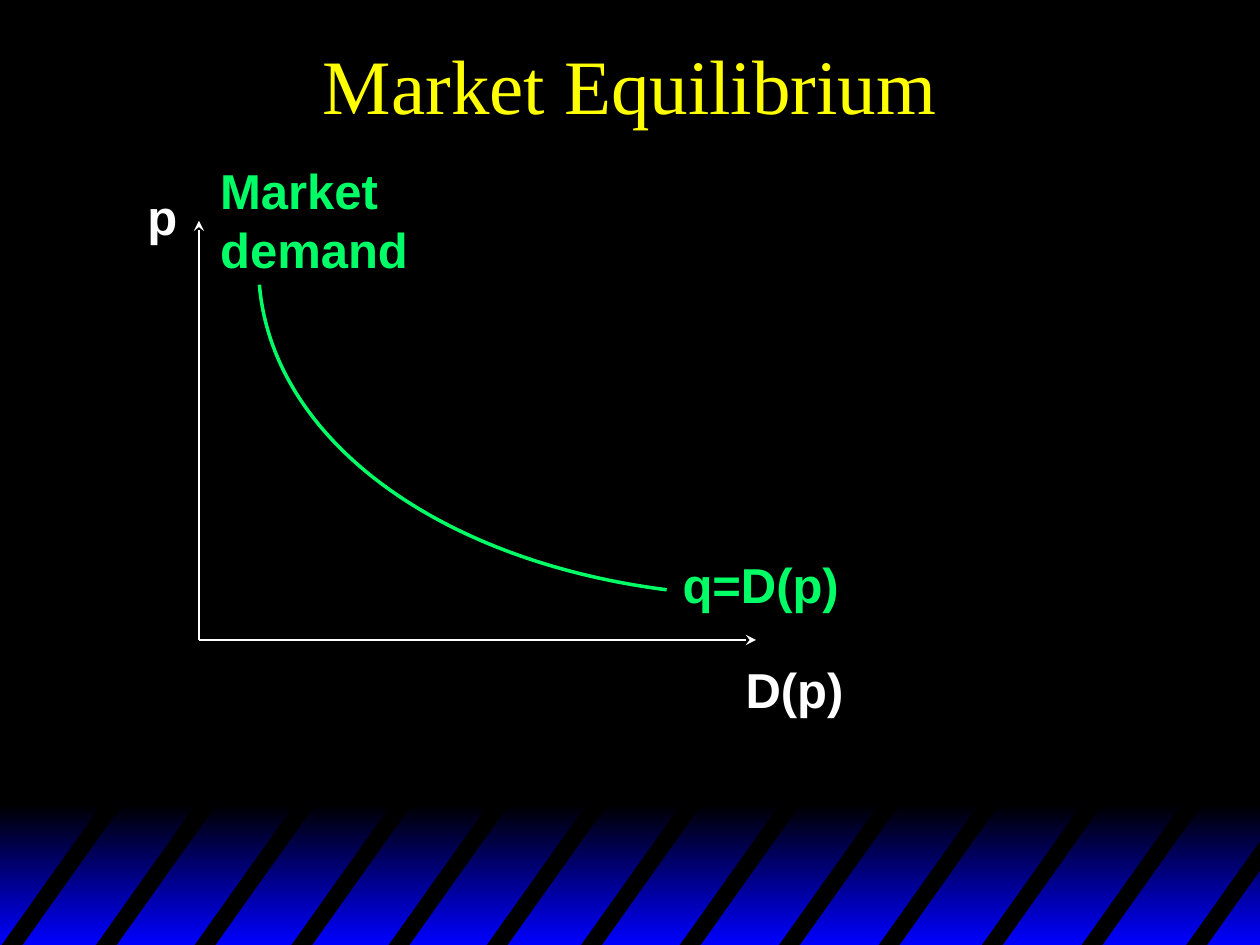
from dataclasses import dataclass

import pptx
import pptx.dml.color
import pptx.enum.shapes
import pptx.enum.text
import pptx.oxml.ns
import pptx.oxml.xmlchemy
import pptx.util

Cm = pptx.util.Cm
Pt = pptx.util.Pt
RGB = pptx.dml.color.RGBColor
qn = pptx.oxml.ns.qn
new_element = pptx.oxml.xmlchemy.OxmlElement
Point = tuple[float, float]


@dataclass(frozen=True)
class Theme:
    background: RGB = RGB(0, 0, 0)
    band: RGB = RGB(0, 0, 0xFF)
    title: RGB = RGB(0xFF, 0xFF, 0)
    axis: RGB = RGB(0xFF, 0xFF, 0xFF)
    demand: RGB = RGB(0, 0xFF, 0x66)
    title_font: str = "Times New Roman"
    label_font: str = "Arial"
    title_size: pptx.util.Length = Pt(44)
    label_size: pptx.util.Length = Pt(28)
    label_leading: pptx.util.Length = Pt(33.8)


@dataclass(frozen=True)
class Label:
    text: str
    left: float
    top: float
    width: float
    height: float
    color: RGB


@dataclass(frozen=True)
class Axis:
    start: Point
    end: Point
    arrow_tag: str


THEME = Theme()

BAND_TOP, BAND_HEIGHT, BAND_WIDTH = 16.21, 2.84, 25.45
STRIPE_TOP, STRIPE_BOTTOM = 16.1, 19.1
STRIPE_RUN, STRIPE_WIDTH = 2.13, 0.42
STRIPE_LEFTS = (0, 1.9, 3.89, 5.84, 7.8, 9.78, 11.68,
                13.67, 15.67, 17.68, 19.76, 21.77, 23.88)

ORIGIN = (4.01, 12.9)
AXES = (
    Axis((4.01, 4.45), ORIGIN, "a:headEnd"),
    Axis(ORIGIN, (15.24, 12.9), "a:tailEnd"),
)
DEMAND_CURVE = ((13.44, 11.89), (8.81, 11.3), (5.49, 8.84), (5.23, 5.74))
LABELS = (
    Label("p", 2.72, 3.63, 1.12, 1.45, THEME.axis),
    Label("D(p)", 14.78, 13.16, 2.49, 1.45, THEME.axis),
    Label("q=D(p)", 13.51, 11.05, 3.66, 1.45, THEME.demand),
    Label("Market\vdemand", 4.19, 3.1, 4.29, 2.64, THEME.demand),
)


def format_runs(para, font: str, size: pptx.util.Length, color: RGB, bold: bool) -> None:
    for span in para.runs:
        span.font.name = font
        span.font.size = size
        span.font.bold = bold
        span.font.color.rgb = color


def set_title(slide, text: str) -> None:
    title = slide.shapes.title
    title.left, title.top = Cm(0), Cm(0)
    title.width, title.height = Cm(25.4), Cm(3.38)
    title.text_frame.text = text
    title.text_frame.vertical_anchor = pptx.enum.text.MSO_ANCHOR.MIDDLE
    para = title.text_frame.paragraphs[0]
    para.alignment = pptx.enum.text.PP_ALIGN.CENTER
    format_runs(para, THEME.title_font, THEME.title_size, THEME.title, False)


def add_band(slide) -> None:
    band = slide.shapes.add_shape(
        pptx.enum.shapes.MSO_SHAPE.RECTANGLE,
        Cm(0), Cm(BAND_TOP), Cm(BAND_WIDTH), Cm(BAND_HEIGHT))
    band.shadow.inherit = False
    band.line.fill.background()
    band.fill.gradient()
    band.fill.gradient_angle = 270
    for stop, color in zip(band.fill.gradient_stops, (THEME.background, THEME.band)):
        stop.color.rgb = color


def add_outline(slide, points: list[Point], closed: bool):
    corners = [(Cm(x), Cm(y)) for x, y in points]
    builder = slide.shapes.build_freeform(*corners[0])
    builder.add_line_segments(corners[1:], close=closed)
    outline = builder.convert_to_shape()
    outline.shadow.inherit = False
    return outline


def add_stripe(slide, left: float) -> None:
    """Draw a slanted stripe, cut off at the right end of the band."""
    def upper_end(x: float) -> Point:
        run = min(STRIPE_RUN, BAND_WIDTH - x)
        rise = (STRIPE_BOTTOM - STRIPE_TOP) * run / STRIPE_RUN
        return x + run, STRIPE_BOTTOM - rise

    right = left + STRIPE_WIDTH
    points = [(left, STRIPE_BOTTOM), upper_end(left),
              upper_end(right), (right, STRIPE_BOTTOM)]
    stripe = add_outline(slide, points, closed=True)
    stripe.fill.solid()
    stripe.fill.fore_color.rgb = THEME.background
    stripe.line.fill.background()


def add_axis(slide, axis: Axis) -> None:
    line = slide.shapes.add_connector(
        pptx.enum.shapes.MSO_CONNECTOR.STRAIGHT,
        *(Cm(value) for value in axis.start + axis.end))
    line.line.color.rgb = THEME.axis
    line.line.width = Pt(1)
    arrow = new_element(axis.arrow_tag)
    arrow.set("type", "stealth")
    properties = line._element.spPr
    properties.find(qn("a:ln")).append(arrow)
    properties.append(new_element("a:effectLst"))


def add_curve(slide, points: tuple[Point, ...]) -> None:
    """Draw one cubic curve from its start, two control points and end."""
    curve = add_outline(slide, list(points), closed=False)
    curve.fill.background()
    curve.line.color.rgb = THEME.demand
    curve.line.width = Pt(2)
    outline = curve._element.find(".//" + qn("a:path"))
    bend = new_element("a:cubicBezTo")
    for segment in outline.findall(qn("a:lnTo")):
        bend.append(segment[0])
        outline.remove(segment)
    outline.append(bend)


def add_label(slide, label: Label) -> None:
    box = slide.shapes.add_textbox(
        Cm(label.left), Cm(label.top), Cm(label.width), Cm(label.height))
    box.text_frame.word_wrap = False
    box.text_frame.auto_size = pptx.enum.text.MSO_AUTO_SIZE.SHAPE_TO_FIT_TEXT
    para = box.text_frame.paragraphs[0]
    para.text = label.text
    para.line_spacing = THEME.label_leading
    format_runs(para, THEME.label_font, THEME.label_size, label.color, True)


def main() -> None:
    deck = pptx.Presentation()
    deck.slide_width, deck.slide_height = Cm(25.4), Cm(19.05)
    slide = deck.slides.add_slide(deck.slide_layouts.get_by_name("Title Only"))
    slide.background.fill.solid()
    slide.background.fill.fore_color.rgb = THEME.background

    set_title(slide, "Market Equilibrium")
    add_band(slide)
    for left in STRIPE_LEFTS:
        add_stripe(slide, left)
    for axis in AXES:
        add_axis(slide, axis)
    add_curve(slide, DEMAND_CURVE)
    for label in LABELS:
        add_label(slide, label)
    deck.save("out.pptx")


if __name__ == "__main__":
    main()
